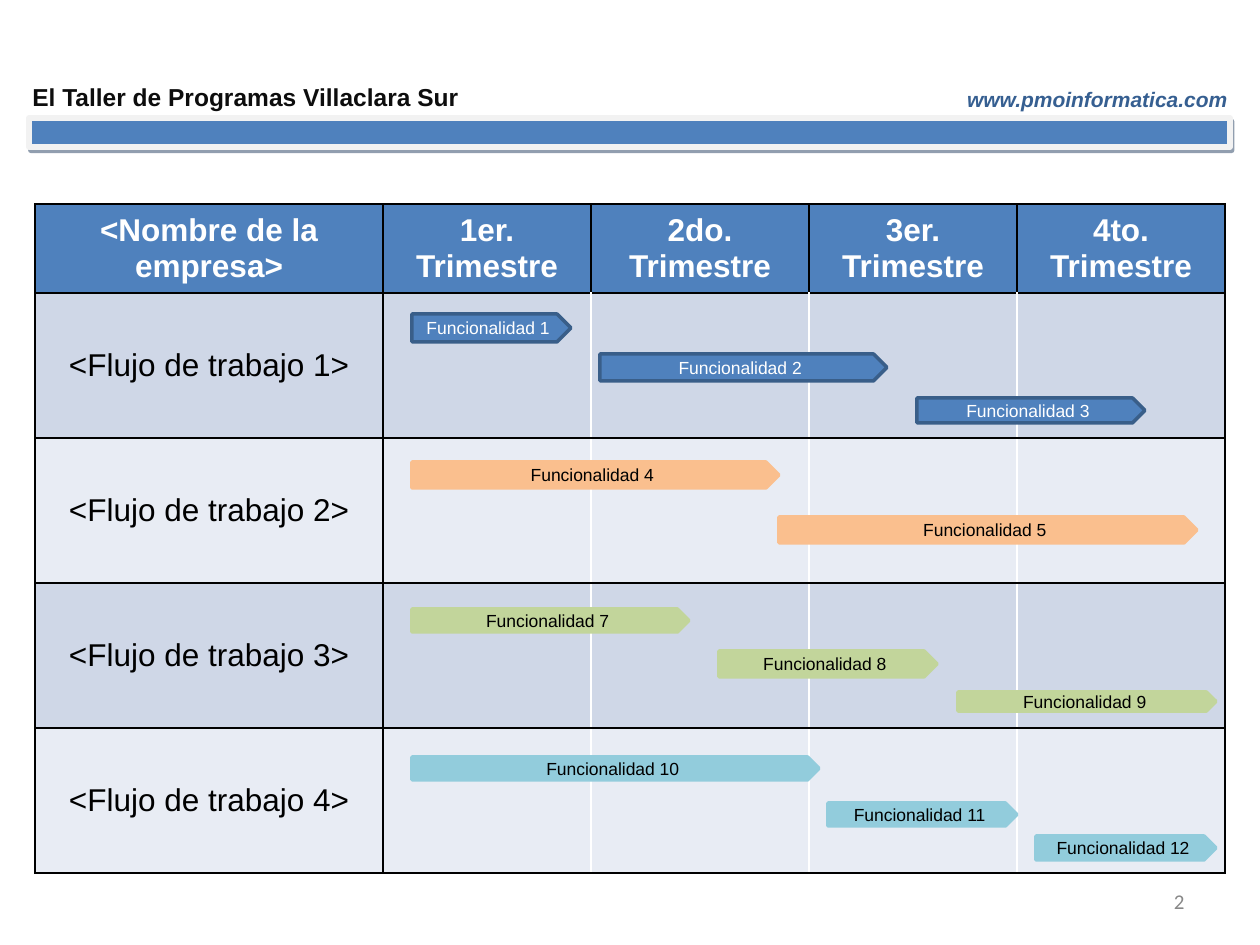
from dataclasses import dataclass

from lxml.etree import Element, SubElement
from pptx import Presentation
from pptx.dml.color import RGBColor
from pptx.enum.shapes import MSO_SHAPE
from pptx.enum.text import MSO_ANCHOR, PP_ALIGN
from pptx.oxml.ns import qn
from pptx.util import Pt

SCALE = 914400 / 126  # EMU in one px


@dataclass(frozen=True)
class Theme:
    font: str = "Arial"
    num_font: str = "Calibri"
    blue: str = "4F81BD"
    edge: str = "395E89"
    link: str = "365F91"
    frame: str = "F2F2F2"
    shade: str = "243F60"
    ink: str = "0D0D0D"
    gray: str = "888888"
    black: str = "000000"
    white: str = "FFFFFF"
    orange: str = "FABF8E"
    green: str = "C2D59B"
    aqua: str = "92CCDC"
    bands: tuple = ("CFD7E7", "E8ECF4")
    title: int = 14
    small: int = 12
    cell: int = 18
    task: int = 10


T = Theme()

HEADS = ["<Nombre de la empresa>", "1er. Trimestre", "2do. Trimestre",
         "3er. Trimestre", "4to. Trimestre"]
COLS = [348, 208, 218, 208, 208]
ROWS = [89, 145, 145, 145, 145]

# One flow: fill, line, text colour, then (number, left, top, width, height)
FLOWS = [
    (T.blue, T.edge, T.white, [(1, 412, 314, 159, 28), (2, 600, 354, 287, 27),
                               (3, 917, 398, 228, 25)]),
    (T.orange, T.orange, T.black, [(4, 412, 462, 367, 26),
                                   (5, 779, 517, 418, 26)]),
    (T.green, T.green, T.black, [(7, 412, 609, 277, 23), (8, 719, 651, 218, 26),
                                 (9, 958, 692, 258, 19)]),
    (T.aqua, T.aqua, T.black, [(10, 412, 757, 407, 23), (11, 828, 803, 189, 23),
                               (12, 1036, 836, 180, 24)]),
]


def px(*nums):
    return [round(n * SCALE) for n in nums]


def rgb(code):
    return RGBColor.from_string(code)


def write(frame, text, size, color, align=PP_ALIGN.CENTER, bold=False,
          italic=False, font=T.font):
    par = frame.paragraphs[0]
    par.alignment = align
    run = par.add_run()
    run.text = text
    run.font.name = font
    run.font.size = Pt(size)
    run.font.bold = bold
    run.font.italic = italic
    run.font.color.rgb = rgb(color)


def label(slide, box, text, size, color, **look):
    frame = slide.shapes.add_textbox(*px(*box)).text_frame
    frame.word_wrap = True
    frame.vertical_anchor = MSO_ANCHOR.MIDDLE
    write(frame, text, size, color, **look)


def block(slide, kind, box, fill, line, width):
    shape = slide.shapes.add_shape(kind, *px(*box))
    shape.shadow.inherit = False
    shape.fill.solid()
    shape.fill.fore_color.rgb = rgb(fill)
    shape.line.color.rgb = rgb(line)
    shape.line.width = Pt(width)
    return shape


def banner(slide):
    bar = block(slide, MSO_SHAPE.RECTANGLE, (29, 118, 1201, 29),
                T.blue, T.frame, 3)
    effects = bar._element.spPr.find(qn("a:effectLst"))
    cast = SubElement(effects, qn("a:outerShdw"), dist=str(Pt(2.2)),
                      dir=str(63 * 60000), algn="ctr", rotWithShape="0")
    tint = SubElement(cast, qn("a:srgbClr"), val=T.shade)
    SubElement(tint, qn("a:alpha"), val="50000")


def borders(cell, **colors):
    props = cell._tc.get_or_add_tcPr()
    for spot, side in enumerate("LRTB"):
        line = Element(qn("a:ln" + side), w=str(Pt(1)))
        fill = SubElement(line, qn("a:solidFill"))
        SubElement(fill, qn("a:srgbClr"), val=colors.get(side, T.black))
        props.insert(spot, line)


def grid(slide):
    box = px(35, 204, sum(COLS), sum(ROWS))
    table = slide.shapes.add_table(len(ROWS), len(COLS), *box).table
    for col, width in zip(table.columns, px(*COLS)):
        col.width = width
    for row, height in zip(table.rows, px(*ROWS)):
        row.height = height

    last = len(COLS) - 1
    for r in range(len(ROWS)):
        for c in range(len(COLS)):
            cell = table.cell(r, c)
            cell.vertical_anchor = MSO_ANCHOR.MIDDLE
            cell.fill.solid()
            cell.fill.fore_color.rgb = rgb(T.bands[(r - 1) % 2] if r else T.blue)
            # White lines only between the quarters of a flow
            borders(cell, L=T.white if r and c > 1 else T.black,
                    R=T.white if r and 0 < c < last else T.black)
            if r == 0:
                write(cell.text_frame, HEADS[c], T.cell, T.white, bold=True)
            elif c == 0:
                write(cell.text_frame, f"<Flujo de trabajo {r}>", T.cell, T.black)


def tasks(slide):
    for fill, line, ink, items in FLOWS:
        for num, *box in items:
            arrow = block(slide, MSO_SHAPE.PENTAGON, box, fill, line, 2)
            arrow.text_frame.vertical_anchor = MSO_ANCHOR.MIDDLE
            write(arrow.text_frame, f"Funcionalidad {num}", T.task, ink)


def main():
    deck = Presentation()
    deck.slide_width, deck.slide_height = px(1260, 945)
    slide = deck.slides.add_slide(deck.slide_layouts[6])

    # Header and page number
    banner(slide)
    label(slide, (20, 75, 493, 43), "El Taller de Programas Villaclara Sur",
          T.title, T.ink, align=PP_ALIGN.LEFT, bold=True)
    label(slide, (905, 80, 335, 38), "www.pmoinformatica.com",
          T.small, T.link, align=PP_ALIGN.RIGHT, bold=True, italic=True)
    label(slide, (903, 876, 294, 50), "2", T.small, T.gray,
          align=PP_ALIGN.RIGHT, font=T.num_font)

    # Roadmap
    grid(slide)
    tasks(slide)
    deck.save("out.pptx")


if __name__ == "__main__":
    main()
